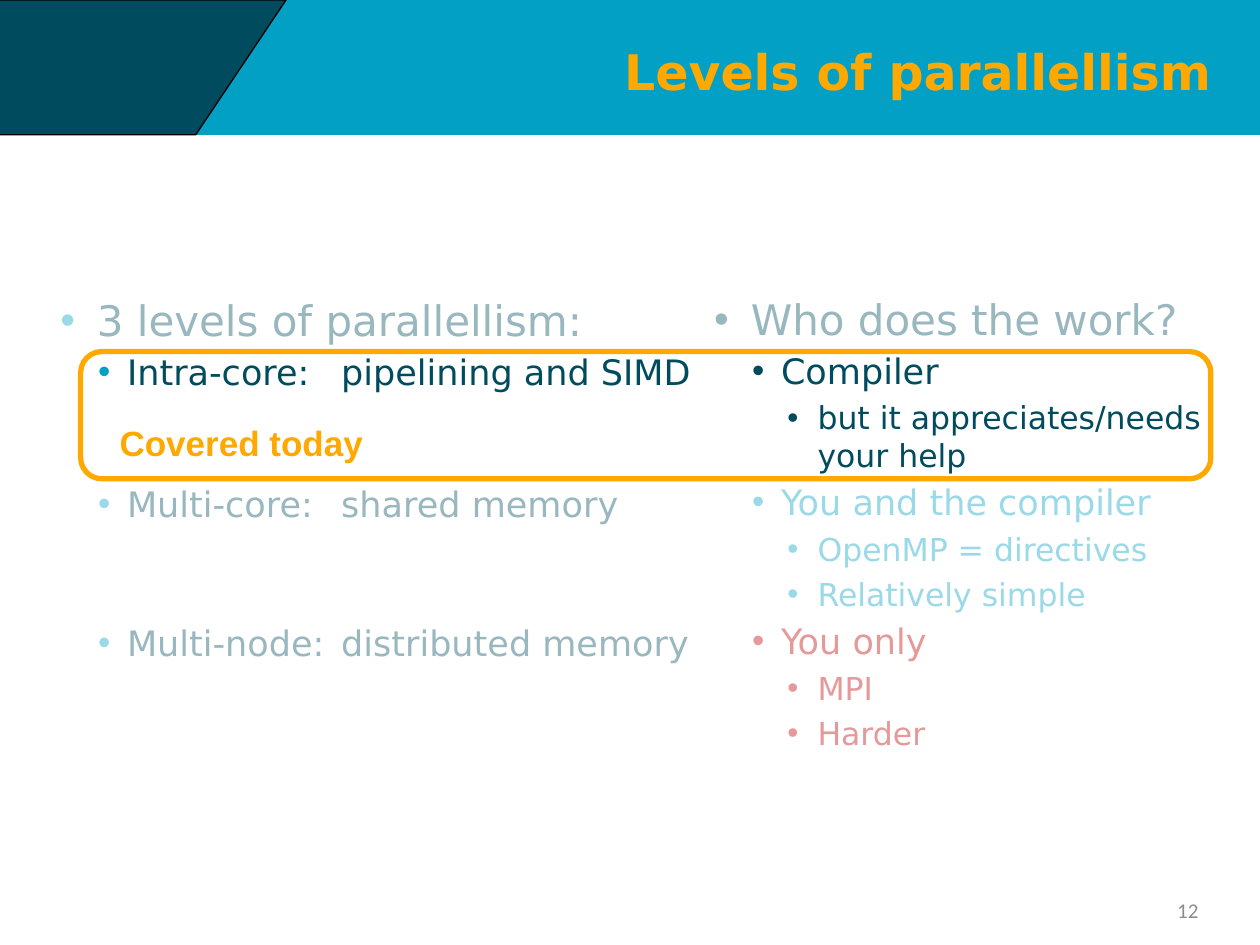
from dataclasses import dataclass
from typing import Optional

from lxml import etree
from pptx import Presentation
from pptx.dml.color import RGBColor
from pptx.enum.shapes import MSO_SHAPE
from pptx.enum.text import MSO_ANCHOR, PP_ALIGN
from pptx.oxml.ns import qn
from pptx.util import Emu, Inches, Pt

RECTANGLE, TRAPEZOID = MSO_SHAPE.RECTANGLE, MSO_SHAPE.TRAPEZOID
ROUNDED = MSO_SHAPE.ROUNDED_RECTANGLE
TOP, MIDDLE = MSO_ANCHOR.TOP, MSO_ANCHOR.MIDDLE
LEFT, RIGHT = PP_ALIGN.LEFT, PP_ALIGN.RIGHT


@dataclass(frozen=True)
class Theme:
    blue: str = "03A0C5"
    petrol: str = "004C5E"
    orange: str = "FFA800"
    red: str = "C00000"
    grey: str = "8C8C8C"
    white: str = "FFFFFF"
    black: str = "000000"
    body_font: str = "DejaVu Sans"
    label_font: str = "Arial"
    number_font: str = "Calibri"
    title_size: int = 28
    label_size: int = 20
    number_size: int = 12


THEME = Theme()
COLUMNS, ROWS = 100, 75
SLIDE_WIDTH, SLIDE_HEIGHT = Inches(10), Inches(7.5)


@dataclass(frozen=True)
class Area:
    """Left, top, width and height in columns and rows of the slide grid."""
    column: float
    row: float
    columns: float
    rows: float

    def box(self) -> tuple[Emu, Emu, Emu, Emu]:
        across, down = SLIDE_WIDTH / COLUMNS, SLIDE_HEIGHT / ROWS
        return (Emu(round(self.column * across)), Emu(round(self.row * down)),
                Emu(round(self.columns * across)), Emu(round(self.rows * down)))


@dataclass(frozen=True)
class Level:
    size: int
    margin: float
    hanging: float
    space_after: float


@dataclass(frozen=True)
class Item:
    level: int
    text: str
    color: str = THEME.petrol
    space_after: Optional[float] = None


LEVELS = (Level(24, 0.29, 0.29, 1), Level(20, 0.53, 0.23, 2), Level(18, 0.82, 0.24, 2))
SPACE_BEFORE = 2
TAB_STOP = 2.23

LEVEL_ITEMS = (
    Item(0, "3 levels of parallellism:"),
    Item(1, "Intra-core: \tpipelining and SIMD", space_after=49.5),
    Item(1, "Multi-core: \tshared memory", space_after=53.5),
    Item(1, "Multi-node: \tdistributed memory"),
)
WORK_ITEMS = (
    Item(0, "Who does the work?"),
    Item(1, "Compiler"),
    Item(2, "but it appreciates/needs your help"),
    Item(1, "You and the compiler", THEME.blue),
    Item(2, "OpenMP = directives", THEME.blue),
    Item(2, "Relatively simple", THEME.blue),
    Item(1, "You only", THEME.red),
    Item(2, "MPI", THEME.red),
    Item(2, "Harder", THEME.red),
)


def set_font(paragraph, name: str, size: float, color: str, bold: bool = False) -> None:
    font = paragraph.font
    font.name, font.size, font.bold = name, Pt(size), bold
    font.color.rgb = RGBColor.from_string(color)


def add_panel(slide, kind, area: Area, fill: Optional[str], line: str,
              line_width: float = 0.75, opacity: Optional[int] = None):
    shape = slide.shapes.add_shape(kind, *area.box())
    shape.shadow.inherit = False
    if fill is None:
        shape.fill.background()
    else:
        shape.fill.solid()
        shape.fill.fore_color.rgb = RGBColor.from_string(fill)
    if opacity is not None:
        color = shape.fill._xPr.find(qn("a:solidFill"))[0]
        etree.SubElement(color, qn("a:alpha"), val=str(opacity * 1000))
    shape.line.color.rgb = RGBColor.from_string(line)
    shape.line.width = Pt(line_width)
    return shape


def add_frame(slide, area: Area, anchor, wrap: bool = True):
    frame = slide.shapes.add_textbox(*area.box()).text_frame
    frame.word_wrap = wrap
    frame.vertical_anchor = anchor
    return frame


def add_label(slide, area: Area, text: str, font: str, size: float, color: str,
              bold: bool = False, align=LEFT, anchor=MIDDLE, wrap: bool = True):
    frame = add_frame(slide, area, anchor, wrap)
    paragraph = frame.paragraphs[0]
    paragraph.text, paragraph.alignment = text, align
    set_font(paragraph, font, size, color, bold)
    return frame


def add_bullet(paragraph, level: Level, color: Optional[str]) -> None:
    """Give the paragraph its indent, bullet and tab stop."""
    properties = paragraph._p.get_or_add_pPr()
    properties.set("marL", str(Inches(level.margin)))
    properties.set("indent", str(-Inches(level.hanging)))
    if color:
        bullet_color = etree.SubElement(properties, qn("a:buClr"))
        etree.SubElement(bullet_color, qn("a:srgbClr"), val=color)
    etree.SubElement(properties, qn("a:buFont"), typeface="Arial")
    etree.SubElement(properties, qn("a:buChar"), char="•")
    tabs = etree.SubElement(properties, qn("a:tabLst"))
    etree.SubElement(tabs, qn("a:tab"), pos=str(Inches(TAB_STOP)), algn="l")


def add_list(slide, area: Area, top_margin: float, items: tuple[Item, ...],
             bullet_color: Optional[str] = None) -> None:
    frame = add_frame(slide, area, TOP)
    frame.margin_top = Inches(top_margin)
    for index, item in enumerate(items):
        level = LEVELS[item.level]
        paragraph = frame.add_paragraph() if index else frame.paragraphs[0]
        paragraph.text, paragraph.level = item.text, item.level
        paragraph.space_before = Pt(SPACE_BEFORE if index else 0)
        paragraph.space_after = Pt(item.space_after or level.space_after)
        add_bullet(paragraph, level, bullet_color)
        set_font(paragraph, THEME.body_font, level.size, item.color)


def add_header(slide) -> None:
    add_panel(slide, RECTANGLE, Area(0, 0, 100, 10.7), THEME.blue, THEME.blue)
    corner = add_panel(slide, TRAPEZOID, Area(-22.6, 0, 45.3, 10.7),
                       THEME.petrol, THEME.black)
    corner.rotation = 180
    corner.adjustments[0] = 0.67
    title = add_label(slide, Area(15.4, 2.2, 80.7, 6.9), "Levels of parallellism",
                      THEME.body_font, THEME.title_size, THEME.orange, True, RIGHT)
    title.margin_left = title.margin_right = title.margin_top = title.margin_bottom = 0


def main() -> None:
    presentation = Presentation()
    presentation.slide_width, presentation.slide_height = SLIDE_WIDTH, SLIDE_HEIGHT
    slide = presentation.slides.add_slide(presentation.slide_layouts[6])

    add_header(slide)
    add_list(slide, Area(3.8, 12.7, 55.9, 57.4), 1.07, LEVEL_ITEMS, THEME.blue)
    add_label(slide, Area(72.8, 70.2, 23.3, 4), "12", THEME.number_font,
              THEME.number_size, THEME.grey, align=RIGHT)
    add_list(slide, Area(55.7, 12.7, 41.9, 57.4), 1.06, WORK_ITEMS)

    add_panel(slide, ROUNDED, Area(6.4, 27.9, 89.7, 10.1), None, THEME.orange, 3)
    add_label(slide, Area(8.5, 33, 21.5, 4.4), "Covered today", THEME.label_font,
              THEME.label_size, THEME.orange, True, anchor=TOP, wrap=False)
    for veil in (Area(3.8, 19.4, 92.3, 8.2), Area(2.5, 38.4, 92.3, 23.6)):
        add_panel(slide, RECTANGLE, veil, THEME.white, THEME.white, opacity=60)

    presentation.save("out.pptx")


if __name__ == "__main__":
    main()
